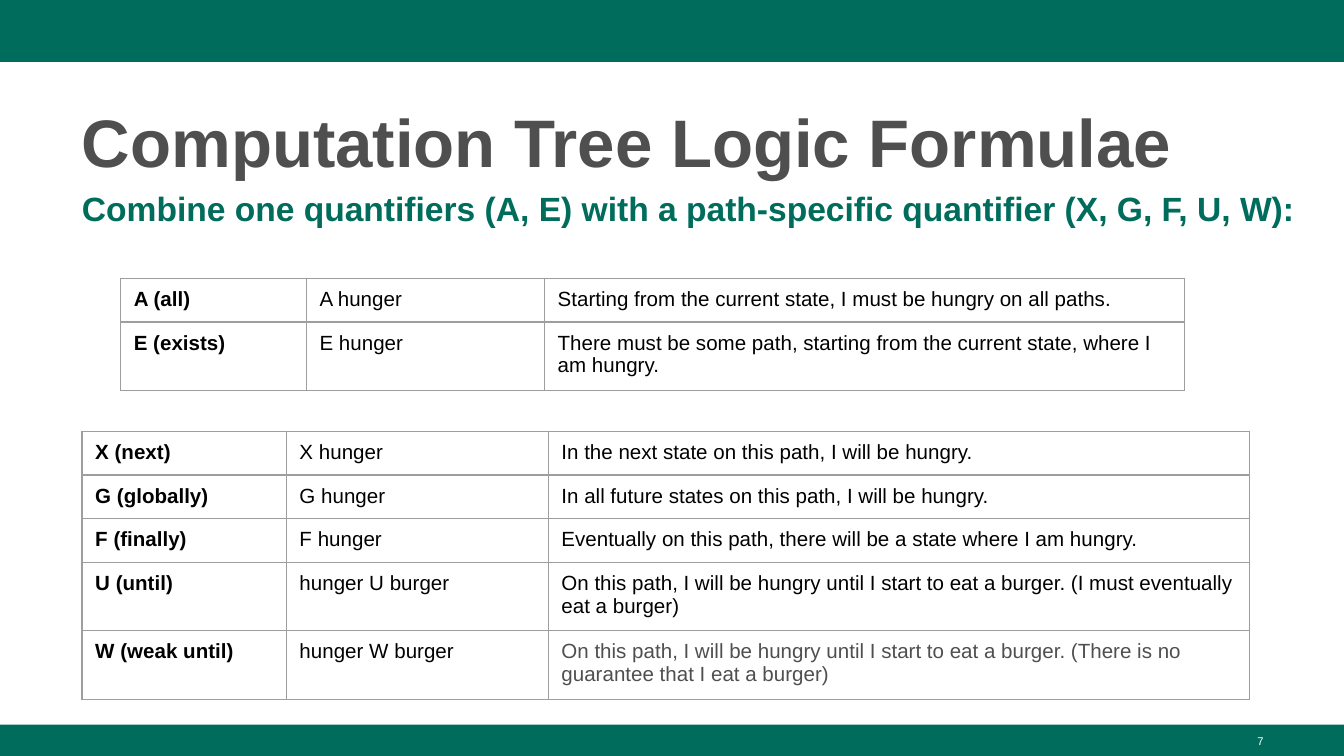
from pptx import Presentation
from pptx.dml.color import RGBColor
from pptx.enum.shapes import MSO_SHAPE
from pptx.enum.text import MSO_ANCHOR, PP_ALIGN
from pptx.oxml import parse_xml
from pptx.oxml.ns import nsdecls
from pptx.util import Cm, Pt

GREEN, GREY, BLACK, WHITE, BORDER = "006C5C", "4F4F4F", "000000", "FFFFFF", "9E9E9E"
ONE_LINE, TWO_LINES = 0.81, 1.24

QUANTIFIERS = [
    ("A (all)", "A hunger", "Starting from the current state, I must be hungry on all paths.", ONE_LINE),
    ("E (exists)", "E hunger",
     "There must be some path, starting from the current state, where I am hungry.", TWO_LINES),
]
PATH_OPERATORS = [
    ("X (next)", "X hunger", "In the next state on this path, I will be hungry.", ONE_LINE),
    ("G (globally)", "G hunger", "In all future states on this path, I will be hungry.", ONE_LINE),
    ("F (finally)", "F hunger",
     "Eventually on this path, there will be a state where I am hungry.", ONE_LINE),
    ("U (until)", "hunger U burger",
     "On this path, I will be hungry until I start to eat a burger. (I must eventually eat a burger)",
     TWO_LINES),
    ("W (weak until)", "hunger W burger",
     "On this path, I will be hungry until I start to eat a burger. "
     "(There is no guarantee that I eat a burger)", TWO_LINES),
]


def color(value):
    """Turn a hex string into a colour."""
    return RGBColor.from_string(value)


def write(para, text, size, shade, bold=False):
    """Put one formatted span into a paragraph."""
    span = para.add_run()
    span.text = text
    span.font.color.rgb = color(shade)
    for name, value in {"name": "Arial", "size": Pt(size), "bold": bold}.items():
        setattr(span.font, name, value)


def add_bar(page, top, height):
    """Add a green bar across the page."""
    bar = page.shapes.add_shape(MSO_SHAPE.RECTANGLE, 0, Cm(top), Cm(25.4), Cm(height))
    bar.shadow.inherit = False
    bar.fill.solid()
    bar.fill.fore_color.rgb = color(GREEN)
    bar.line.fill.background()


def add_text(page, place, text, size, shade, bold=False, anchor=MSO_ANCHOR.TOP,
             align=PP_ALIGN.LEFT, spacing=1.0):
    """Add a wrapped text box with one paragraph."""
    box = page.shapes.add_textbox(*map(Cm, place))
    box.text_frame.word_wrap = True
    box.text_frame.vertical_anchor = anchor
    para = box.text_frame.paragraphs[0]
    para.alignment = align
    para.line_spacing = spacing
    write(para, text, size, shade, bold)


def add_borders(cell):
    """Draw a thin line on the four sides of a cell."""
    properties = cell._tc.get_or_add_tcPr()
    for position, side in enumerate(("lnL", "lnR", "lnT", "lnB")):
        line = parse_xml(
            f'<a:{side} {nsdecls("a")} w="{Pt(0.75)}"><a:solidFill>'
            f'<a:srgbClr val="{BORDER}"/></a:solidFill></a:{side}>')
        properties.insert(position, line)


def fill_cell(cell, text, shade, bold):
    """Write and style one table cell."""
    margins = {"margin_left": 0.25, "margin_right": 0.25, "margin_top": 0.18, "margin_bottom": 0.18}
    for name, value in margins.items():
        setattr(cell, name, Cm(value))
    cell.fill.background()
    add_borders(cell)
    write(cell.text_frame.paragraphs[0], text, 11, shade, bold)


def add_formula_table(page, left, top, widths, rows):
    """Add a table of operator, example and meaning."""
    heights = [row[-1] for row in rows]
    table = page.shapes.add_table(len(rows), len(widths), Cm(left), Cm(top),
                                  Cm(sum(widths)), Cm(sum(heights))).table
    table.first_row = table.horz_banding = False
    for column, width in zip(table.columns, widths):
        column.width = Cm(width)
    for line, (*texts, height) in zip(table.rows, rows):
        line.height = Cm(height)
        for index, (cell, text) in enumerate(zip(line.cells, texts)):
            shade = GREY if "no guarantee" in text else BLACK
            fill_cell(cell, text, shade, bold=index == 0)


def main():
    """Build the slide and save it."""
    deck = Presentation()
    deck.slide_width, deck.slide_height = Cm(25.4), Cm(14.29)
    page = deck.slides.add_slide(deck.slide_layouts[6])
    add_bar(page, 0, 1.17)
    add_bar(page, 13.7, 0.59)
    add_text(page, (1.3, 1.7, 22.83, 1.85), "Computation Tree Logic Formulae", 36, GREY,
             bold=True, anchor=MSO_ANCHOR.BOTTOM, spacing=1.08)
    add_text(page, (1.3, 3.43, 23.7, 9.8),
             "Combine one quantifiers (A, E) with a path-specific quantifier (X, G, F, U, W):",
             18, GREEN, bold=True)
    add_formula_table(page, 1.55, 8.15, (3.86, 4.95, 13.26), PATH_OPERATORS)
    add_formula_table(page, 2.28, 5.26, (3.51, 4.5, 12.09), QUANTIFIERS)
    add_text(page, (18.21, 13.72, 5.92, 0.57), "7", 6, WHITE,
             anchor=MSO_ANCHOR.MIDDLE, align=PP_ALIGN.RIGHT)
    deck.save("out.pptx")


if __name__ == "__main__":
    main()
